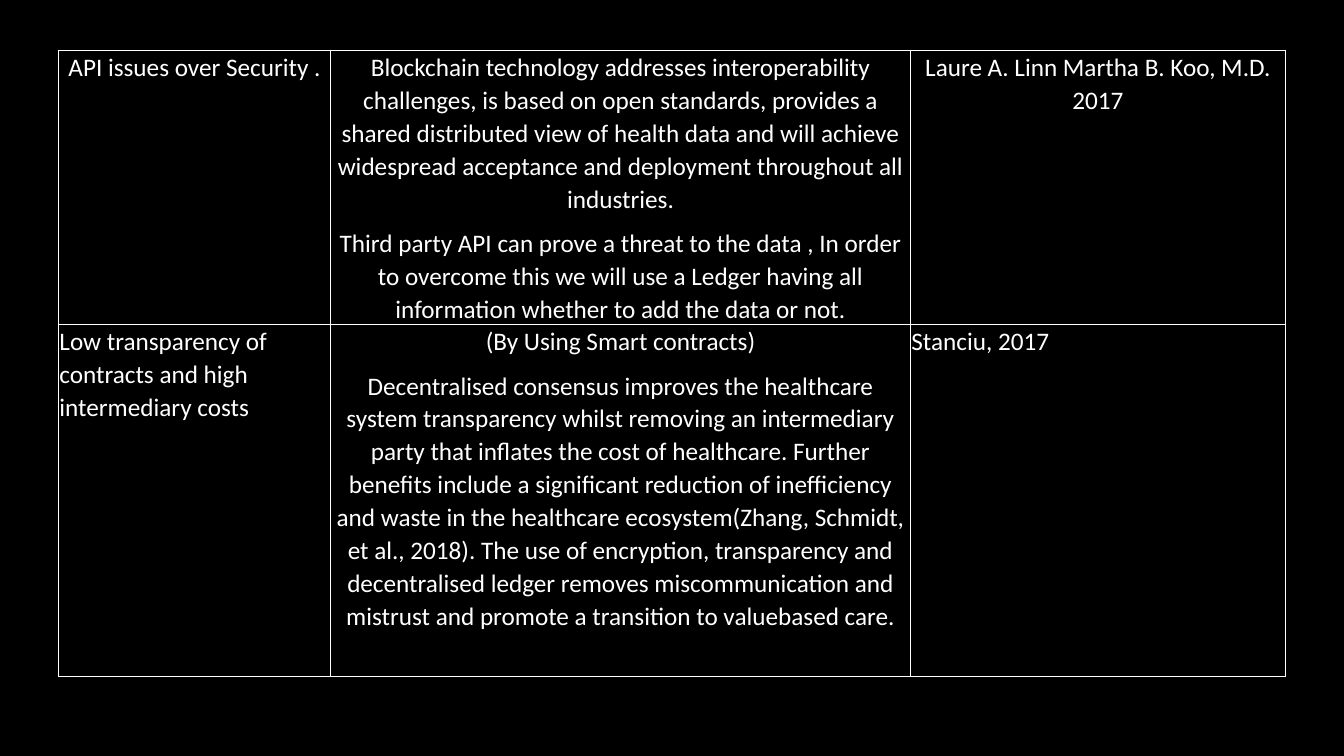
from lxml.etree import SubElement
from pptx import Presentation
from pptx.dml.color import RGBColor
from pptx.enum.text import PP_ALIGN
from pptx.oxml.ns import qn
from pptx.util import Inches, Pt

theme = {
    "back": "000000", "ink": "FFFFFF", "font": "Calibri",
    "size": 18, "line": 1, "lead": 1.07, "after": 8,
}


def put(cell, *texts, align=PP_ALIGN.CENTER):
    """Write one paragraph per text into a table cell."""
    frame = cell.text_frame
    for n, text in enumerate(texts):
        para = frame.add_paragraph() if n else frame.paragraphs[0]
        para.alignment = align
        para.line_spacing = theme["lead"]
        para.space_after = Pt(theme["after"])
        run = para.add_run()
        run.text = text
        run.font.name = theme["font"]
        run.font.size = Pt(theme["size"])
        run.font.color.rgb = RGBColor.from_string(theme["ink"])


def frame_cell(cell):
    """Draw a thin line on all four sides of a cell."""
    props = cell._tc.get_or_add_tcPr()
    for side in ("a:lnL", "a:lnR", "a:lnT", "a:lnB"):
        line = SubElement(props, qn(side), w=str(Pt(theme["line"])))
        fill = SubElement(line, qn("a:solidFill"))
        SubElement(fill, qn("a:srgbClr"), val=theme["ink"])


# Slide
deck = Presentation()
deck.slide_width, deck.slide_height = Inches(13.33), Inches(7.5)
slide = deck.slides.add_slide(deck.slide_layouts[6])
slide.background.fill.solid()
slide.background.fill.fore_color.rgb = RGBColor.from_string(theme["back"])

# Table content: issue, remedy, source
rows = [
    (PP_ALIGN.CENTER, [
        ["API issues over Security ."],
        ["Blockchain technology addresses interoperability challenges, is "
         "based on open standards, provides a shared distributed view of "
         "health data and will achieve widespread acceptance and deployment "
         "throughout all industries.",
         "Third party API can prove a threat to the data , In order to "
         "overcome this we will use a Ledger having all information whether "
         "to add the data or not."],
        ["Laure A. Linn Martha B. Koo, M.D. 2017"],
    ]),
    (PP_ALIGN.LEFT, [
        ["Low transparency of contracts and high intermediary costs"],
        ["(By Using Smart contracts)",
         "Decentralised consensus improves the healthcare system "
         "transparency whilst removing an intermediary party that inflates "
         "the cost of healthcare. Further benefits include a significant "
         "reduction of inefficiency and waste in the healthcare "
         "ecosystem(Zhang, Schmidt, et al., 2018). The use of encryption, "
         "transparency and decentralised ledger removes miscommunication and "
         "mistrust and promote a transition to valuebased care."],
        ["Stanciu, 2017"],
    ]),
]

# Table grid
wide = [2.7, 5.75, 3.72]
high = [2.72, 3.49]
table = slide.shapes.add_table(
    len(high), len(wide), Inches(0.58), Inches(0.5),
    Inches(sum(wide)), Inches(sum(high))).table
table.first_row = table.horz_banding = False
for col, width in zip(table.columns, wide):
    col.width = Inches(width)
for row, height in zip(table.rows, high):
    row.height = Inches(height)

# Cells: the middle column is always centred
for r, (side, cells) in enumerate(rows):
    for c, texts in enumerate(cells):
        cell = table.cell(r, c)
        cell.margin_left = cell.margin_right = Inches(0.01)
        cell.margin_top = cell.margin_bottom = 0
        frame_cell(cell)
        cell.fill.background()
        put(cell, *texts, align=PP_ALIGN.CENTER if c == 1 else side)

deck.save("out.pptx")
